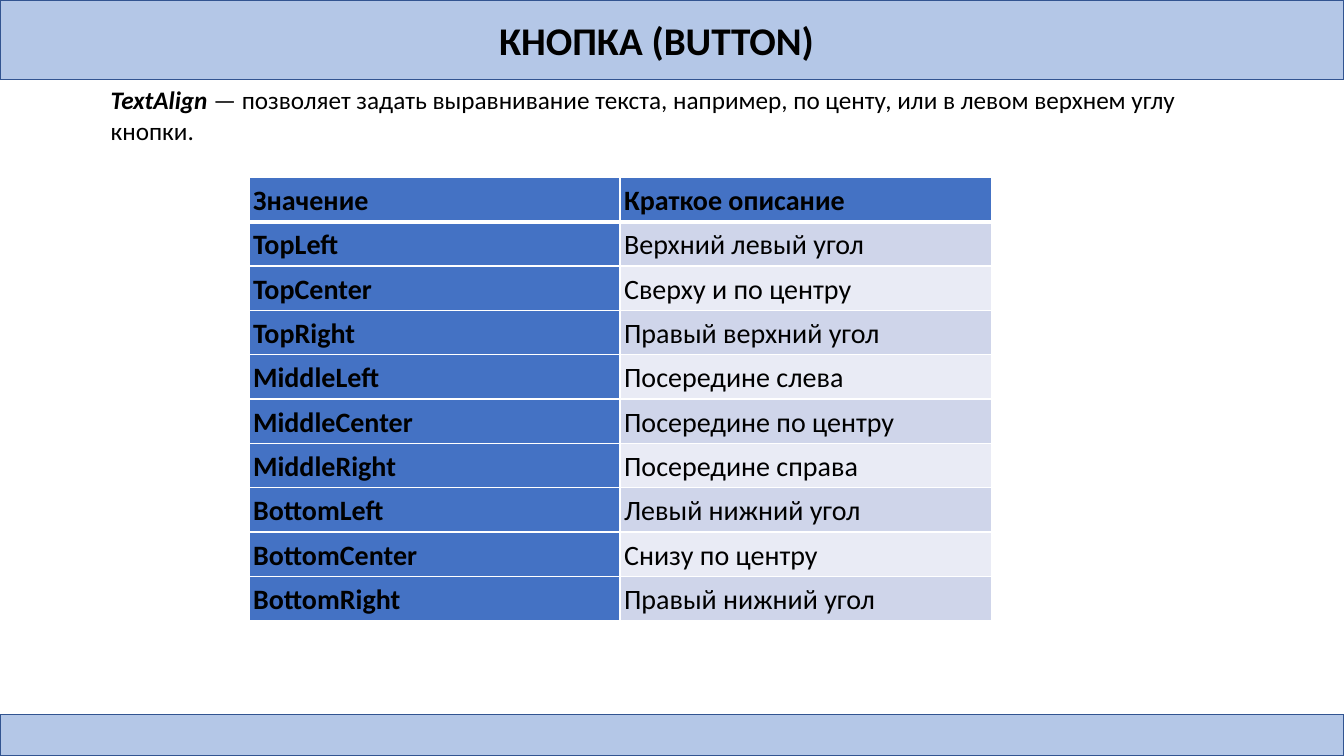
from lxml.etree import SubElement
from pptx import Presentation
from pptx.dml.color import RGBColor
from pptx.enum.shapes import MSO_SHAPE
from pptx.enum.text import MSO_ANCHOR, MSO_AUTO_SIZE, PP_ALIGN
from pptx.oxml.ns import qn
from pptx.util import Inches, Pt

BLACK = RGBColor(0x00, 0x00, 0x00)
WHITE = RGBColor(0xFF, 0xFF, 0xFF)
BAR_FILL = RGBColor(0xB4, 0xC7, 0xE7)
BAR_LINE = RGBColor(0x32, 0x54, 0x91)
ACCENT = RGBColor(0x44, 0x72, 0xC4)
BAND_DARK = RGBColor(0xCF, 0xD5, 0xEA)
BAND_LIGHT = RGBColor(0xE9, 0xEB, 0xF5)

ALIGN_VALUES = [
    ("Значение", "Краткое описание"),
    ("TopLeft", "Верхний левый угол"),
    ("TopCenter", "Сверху и по центру"),
    ("TopRight", "Правый верхний угол"),
    ("MiddleLeft", "Посередине слева"),
    ("MiddleCenter", "Посередине по центру"),
    ("MiddleRight", "Посередине справа"),
    ("BottomLeft", "Левый нижний угол"),
    ("BottomCenter", "Снизу\u00a0по центру"),
    ("BottomRight", "Правый нижний угол"),
]


class SlideBuilder:
    font = "Calibri"

    def __init__(self, slide):
        self.slide = slide
        self.shapes = slide.shapes

    def add_run(self, para, text, size, bold=False, italic=False):
        span = para.add_run()
        span.text = text
        span.font.name = self.font
        span.font.size = Pt(size)
        span.font.bold = bold
        span.font.italic = italic
        span.font.color.rgb = BLACK

    def bar(self, top, height):
        bar = self.shapes.add_shape(
            MSO_SHAPE.RECTANGLE, 0, Inches(top), Inches(13.33), Inches(height))
        bar.shadow.inherit = False
        bar.fill.solid()
        bar.fill.fore_color.rgb = BAR_FILL
        bar.line.color.rgb = BAR_LINE
        bar.line.width = Pt(1)

    def title(self, text, left, top, width, height):
        title = self.shapes.title
        title.left, title.top = Inches(left), Inches(top)
        title.width, title.height = Inches(width), Inches(height)
        frame = title.text_frame
        frame.word_wrap = False
        frame.auto_size = MSO_AUTO_SIZE.SHAPE_TO_FIT_TEXT
        frame.vertical_anchor = MSO_ANCHOR.TOP
        para = frame.paragraphs[0]
        para.alignment = PP_ALIGN.LEFT
        self.add_run(para, text, 28, bold=True)
        # Bring the title in front of the bars
        title.element.getparent().append(title.element)

    def text(self, runs, left, top, width, height):
        box = self.shapes.add_textbox(
            Inches(left), Inches(top), Inches(width), Inches(height))
        box.text_frame.word_wrap = True
        para = box.text_frame.paragraphs[0]
        for text, emphasis in runs:
            self.add_run(para, text, 18, bold=emphasis, italic=emphasis)

    def cell_borders(self, cell, widths):
        properties = cell._tc.get_or_add_tcPr()
        for side, width in widths.items():
            line = SubElement(properties, qn(f"a:ln{side}"), w=str(Pt(width)))
            fill = SubElement(line, qn("a:solidFill"))
            SubElement(fill, qn("a:srgbClr"), val=str(WHITE))

    def table(self, rows, left, top, column_width, row_height):
        columns = len(rows[0])
        table = self.shapes.add_table(
            len(rows), columns, Inches(left), Inches(top),
            Inches(column_width * columns), Inches(row_height * len(rows))).table
        table.first_col = True
        for row_index, row in enumerate(rows):
            for column_index, text in enumerate(row):
                cell = table.cell(row_index, column_index)
                is_heading = row_index == 0 or column_index == 0
                self.cell_borders(cell, {
                    "L": 1, "R": 1,
                    "T": 3 if row_index == 1 else 1,
                    "B": 3 if row_index == 0 else 1})
                cell.fill.solid()
                band = BAND_DARK if row_index % 2 else BAND_LIGHT
                cell.fill.fore_color.rgb = ACCENT if is_heading else band
                cell.margin_left = cell.margin_right = Inches(0.04)
                cell.margin_top = cell.margin_bottom = Inches(0.04)
                cell.vertical_anchor = MSO_ANCHOR.BOTTOM
                para = cell.text_frame.paragraphs[0]
                para.alignment = PP_ALIGN.JUSTIFY
                para.line_spacing = 1.07
                self.add_run(para, text, 20, bold=is_heading)


deck = Presentation()
deck.slide_width, deck.slide_height = Inches(13.33), Inches(7.5)
page = SlideBuilder(deck.slides.add_slide(deck.slide_layouts[5]))

# Header and footer bars
page.bar(0, 0.79)
page.bar(7.09, 0.41)

# Title and property description
page.title("КНОПКА (BUTTON)", 4.85, 0.11, 3.36, 0.57)
page.text([
    ("TextAlign\u00a0", True),
    ("— позволяет задать выравнивание текста, например, по центу, "
     "или в левом верхнем углу кнопки.", False),
], 1, 0.79, 11.43, 0.98)

# Alignment values
page.table(ALIGN_VALUES, 2.47, 1.76, 3.68, 0.44)

deck.save("out.pptx")
